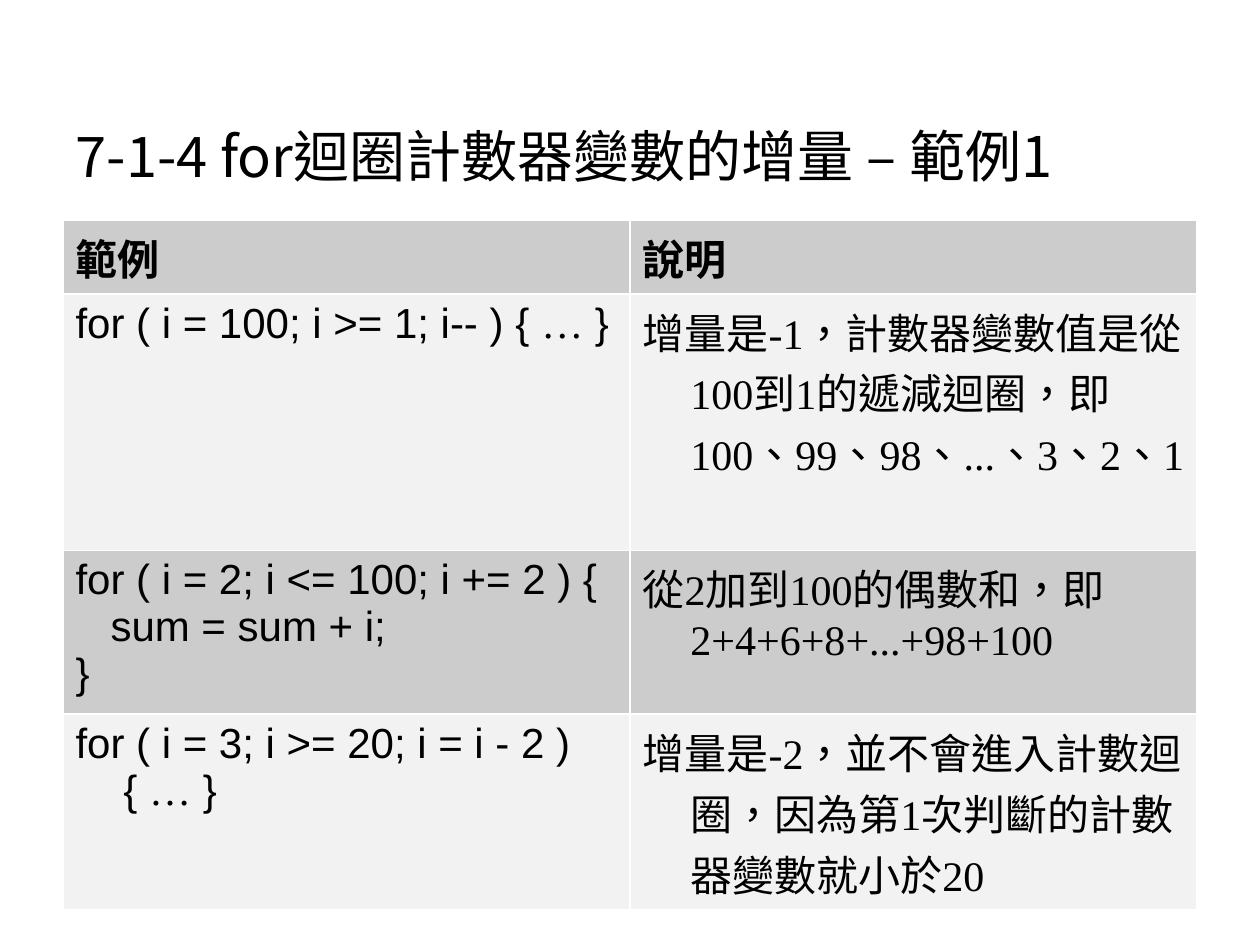
from dataclasses import dataclass

from lxml.etree import SubElement
from pptx import Presentation
from pptx.dml.color import RGBColor
from pptx.enum.lang import MSO_LANGUAGE_ID
from pptx.enum.text import MSO_ANCHOR, MSO_AUTO_SIZE, PP_ALIGN
from pptx.oxml.ns import qn
from pptx.util import Inches, Pt


@dataclass(frozen=True)
class Theme:
    """Colours, fonts and sizes of the slide."""

    text: str = "000000"
    bands: tuple = ("CCCCCC", "F2F2F2")
    border: str = "FFFFFF"
    border_width: float = 0.96
    title_size: int = 32
    cell_size: int = 24
    indent: float = 0.38
    east_asian: str = "Noto Sans CJK SC"
    code: str = "Arial"
    prose: str = "Times New Roman"


THEME = Theme()
WIDTH, HEIGHT = Inches(10), Inches(7.5)
MARGIN = 0.05
ROW_HEIGHTS = (0.5, 1.7, 1.3, 1.3)
HEADERS = ("範例", "說明")
EXAMPLES = (
    (
        ("for ( i = 100; i >= 1; i-- ) { … }",),
        "增量是-1，計數器變數值是從100到1的遞減迴圈，即100、99、98、...、3、2、1",
    ),
    (
        ("for ( i = 2; i <= 100; i += 2 ) {", "   sum = sum + i;", "}"),
        "從2加到100的偶數和，即2+4+6+8+...+98+100",
    ),
    (
        ("for ( i = 3; i >= 20; i = i - 2 ) { … }",),
        "增量是-2，並不會進入計數迴圈，因為第1次判斷的計數器變數就小於20",
    ),
)


def apply(target, values):
    """Set every attribute named in a dict of values."""
    for name, value in values.items():
        setattr(target, name, value)


def add_run(paragraph, text, font_name, size, bold=False):
    """Add a run with its Latin and East Asian fonts."""
    run = paragraph.add_run()
    run.text = text
    apply(run.font, {
        "name": font_name,
        "size": Pt(size),
        "bold": bold,
        "language_id": MSO_LANGUAGE_ID.TRADITIONAL_CHINESE,
    })
    run.font.color.rgb = RGBColor.from_string(THEME.text)
    SubElement(run.font._element, qn("a:ea"), typeface=THEME.east_asian)


def add_title(slide, text):
    """Place and fill the title placeholder."""
    title = slide.shapes.title
    apply(title, {
        "left": int(WIDTH * MARGIN),
        "top": int(HEIGHT * 0.04),
        "width": int(WIDTH * (1 - 2 * MARGIN)),
        "height": Inches(1.25),
    })
    apply(title.text_frame, {
        "word_wrap": True,
        "auto_size": MSO_AUTO_SIZE.NONE,
        "vertical_anchor": MSO_ANCHOR.BOTTOM,
    })
    paragraph = title.text_frame.paragraphs[0]
    paragraph.alignment = PP_ALIGN.LEFT
    add_run(paragraph, text, THEME.east_asian, THEME.title_size)


def style_cell(cell, fill):
    """Give a cell white borders and a plain fill."""
    properties = cell._tc.get_or_add_tcPr()
    for side in "LRTB":
        line = SubElement(
            properties, qn(f"a:ln{side}"), w=str(Pt(THEME.border_width))
        )
        solid = SubElement(line, qn("a:solidFill"))
        SubElement(solid, qn("a:srgbClr"), val=THEME.border)
    cell.fill.solid()
    cell.fill.fore_color.rgb = RGBColor.from_string(fill)


def fill_cell(cell, lines, font_name, bold=False):
    """Write lines with a hanging indent and the ellipsis in the prose font."""
    for index, line in enumerate(lines):
        frame = cell.text_frame
        paragraph = frame.add_paragraph() if index else frame.paragraphs[0]
        properties = paragraph._p.get_or_add_pPr()
        properties.set("marL", str(Inches(THEME.indent)))
        properties.set("indent", str(-Inches(THEME.indent)))
        before, ellipsis, after = line.partition("…")
        parts = ((before, font_name), (ellipsis, THEME.prose), (after, font_name))
        for text, name in parts:
            if text:
                add_run(paragraph, text, name, THEME.cell_size, bold)


def add_example_table(slide):
    """Add the table of loop examples and their explanations."""
    table = slide.shapes.add_table(
        len(ROW_HEIGHTS), len(HEADERS), int(WIDTH * MARGIN), Inches(1.75),
        int(WIDTH * (1 - 2 * MARGIN)), Inches(sum(ROW_HEIGHTS)),
    ).table
    for index, (row, height) in enumerate(zip(table.rows, ROW_HEIGHTS)):
        row.height = Inches(height)
        for cell in row.cells:
            style_cell(cell, THEME.bands[index % 2])
    for column, header in enumerate(HEADERS):
        fill_cell(table.cell(0, column), (header,), THEME.prose, bold=True)
    for row, (code, explanation) in enumerate(EXAMPLES, start=1):
        fill_cell(table.cell(row, 0), code, THEME.code)
        fill_cell(table.cell(row, 1), (explanation,), THEME.prose)


def main():
    """Build and save the slide."""
    presentation = Presentation()
    apply(presentation, {"slide_width": WIDTH, "slide_height": HEIGHT})
    slide = presentation.slides.add_slide(presentation.slide_layouts[5])
    add_title(slide, "7-1-4 for迴圈計數器變數的增量 – 範例1")
    add_example_table(slide)
    presentation.save("out.pptx")


if __name__ == "__main__":
    main()
